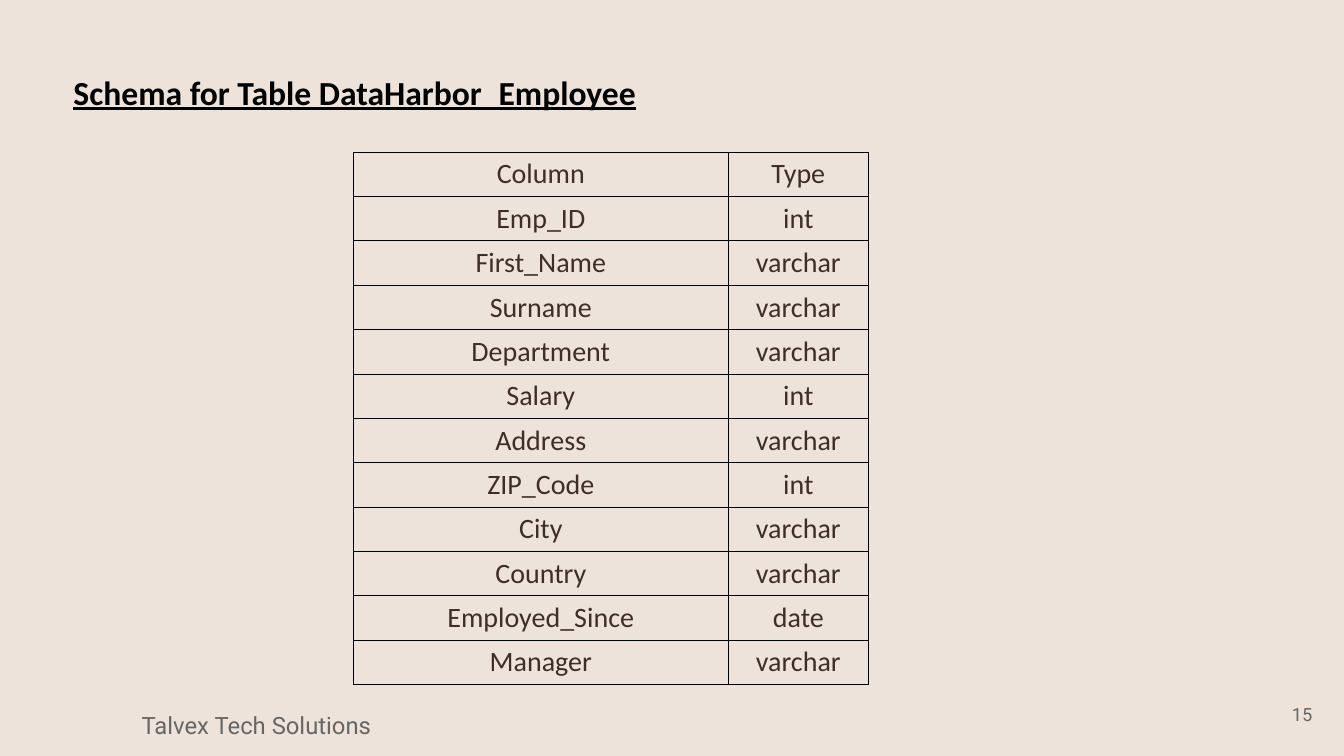
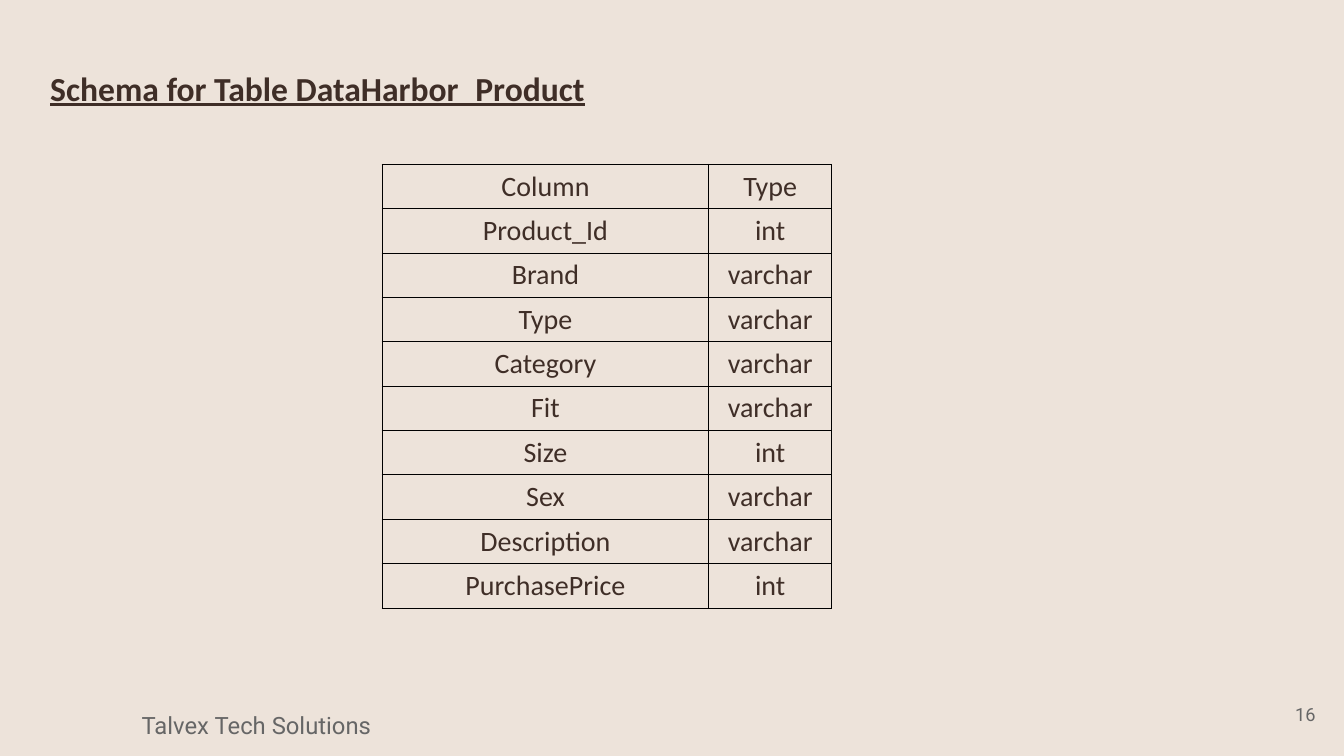
import pptx
import pptx.util
import pptx.dml.color
import pptx.enum.text
import pptx.oxml
import pptx.oxml.ns

Pt = pptx.util.Pt
ALIGN = pptx.enum.text.PP_ALIGN
ANCHOR = pptx.enum.text.MSO_ANCHOR

PAPER, BROWN, BLACK, GREY = "EDE3DA", "3F2E27", "000000", "666666"
TITLE = {"name": "Calibri", "size": Pt(24), "bold": True, "underline": True}
CELL = {"name": "Calibri", "size": Pt(20)}
FOOT = {"name": "Roboto", "size": Pt(17)}
PAGE = {"name": "Roboto", "size": Pt(13)}
ROW = 31.7

SLIDES = [
    {
        "title": "Schema for Table DataHarbor_Employee",
        "spot": (45.4, 39), "ink": BLACK,
        "page": "15", "inset": 9.4,
        "grid": (252.5, 108.7), "cols": (267.6, 100.3),
        "rows": [
            ("Column", "Type"), ("Emp_ID", "int"),
            ("First_Name", "varchar"), ("Surname", "varchar"),
            ("Department", "varchar"), ("Salary", "int"),
            ("Address", "varchar"), ("ZIP_Code", "int"),
            ("City", "varchar"), ("Country", "varchar"),
            ("Employed_Since", "date"), ("Manager", "varchar"),
        ],
    },
    {
        "title": "Schema for Table DataHarbor_Product",
        "spot": (28.8, 36), "ink": BROWN,
        "page": "16", "inset": 7.2,
        "grid": (272.9, 117.4), "cols": (233.5, 87.6),
        "rows": [
            ("Column", "Type"), ("Product_Id", "int"),
            ("Brand", "varchar"), ("Type", "varchar"),
            ("Category", "varchar"), ("Fit", "varchar"),
            ("Size", "int"), ("Sex", "varchar"),
            ("Description", "varchar"), ("PurchasePrice", "int"),
        ],
    },
]


def tint(target, code):
    target.rgb = pptx.dml.color.RGBColor.from_string(code)


def write(frame, text, style, ink, align):
    para = frame.paragraphs[0]
    para.alignment = align
    run = para.add_run()
    run.text = text
    for key, value in style.items():
        setattr(run.font, key, value)
    tint(run.font.color, ink)
    return para


def label(slide, box, text, style, ink, align=ALIGN.LEFT,
          anchor=ANCHOR.MIDDLE, inset=7.2):
    frame = slide.shapes.add_textbox(*map(Pt, box)).text_frame
    frame.word_wrap = True
    frame.vertical_anchor = anchor
    frame.margin_left = frame.margin_right = Pt(inset)
    return write(frame, text, style, ink, align)


def edge(cell):
    """Draw a thin black border on all four sides of a cell."""
    props = cell._tc.get_or_add_tcPr()
    space = pptx.oxml.ns.nsdecls("a")
    for side in "LRTB":
        props.append(pptx.oxml.parse_xml(
            f'<a:ln{side} {space} w="{Pt(0.75)}"><a:solidFill>'
            f'<a:srgbClr val="{BLACK}"/></a:solidFill></a:ln{side}>'))


def grid(slide, spot, cols, rows):
    size = (sum(cols), ROW * len(rows))
    table = slide.shapes.add_table(
        len(rows), len(cols), *map(Pt, spot + size)).table
    table.first_row = table.horz_banding = False
    for col, width in zip(table.columns, cols):
        col.width = Pt(width)
    for line, texts in zip(table.rows, rows):
        line.height = Pt(ROW)
        for cell, text in zip(line.cells, texts):
            edge(cell)
            cell.fill.background()
            cell.vertical_anchor = ANCHOR.BOTTOM
            cell.margin_left = cell.margin_right = Pt(5.4)
            write(cell.text_frame, text, CELL, BROWN, ALIGN.CENTER)


def footer(slide, page, inset):
    para = label(slide, (10, 506.2, 346.3, 29.5), "Talvex Tech Solutions",
                 FOOT, GREY, ALIGN.CENTER, ANCHOR.TOP)
    para.line_spacing = 0.9
    label(slide, (889.2, 489.6, 57.6, 41), page, PAGE, GREY,
          ALIGN.RIGHT, inset=inset)


def main():
    deck = pptx.Presentation()
    deck.slide_width, deck.slide_height = Pt(960), Pt(540)
    back = deck.slide_master.background.fill
    back.solid()
    tint(back.fore_color, PAPER)
    for item in SLIDES:
        slide = deck.slides.add_slide(deck.slide_layouts[6])
        label(slide, item["spot"] + (828, 53.3), item["title"],
              TITLE, item["ink"])
        grid(slide, item["grid"], item["cols"], item["rows"])
        footer(slide, item["page"], item["inset"])
    deck.save("out.pptx")


if __name__ == "__main__":
    main()
